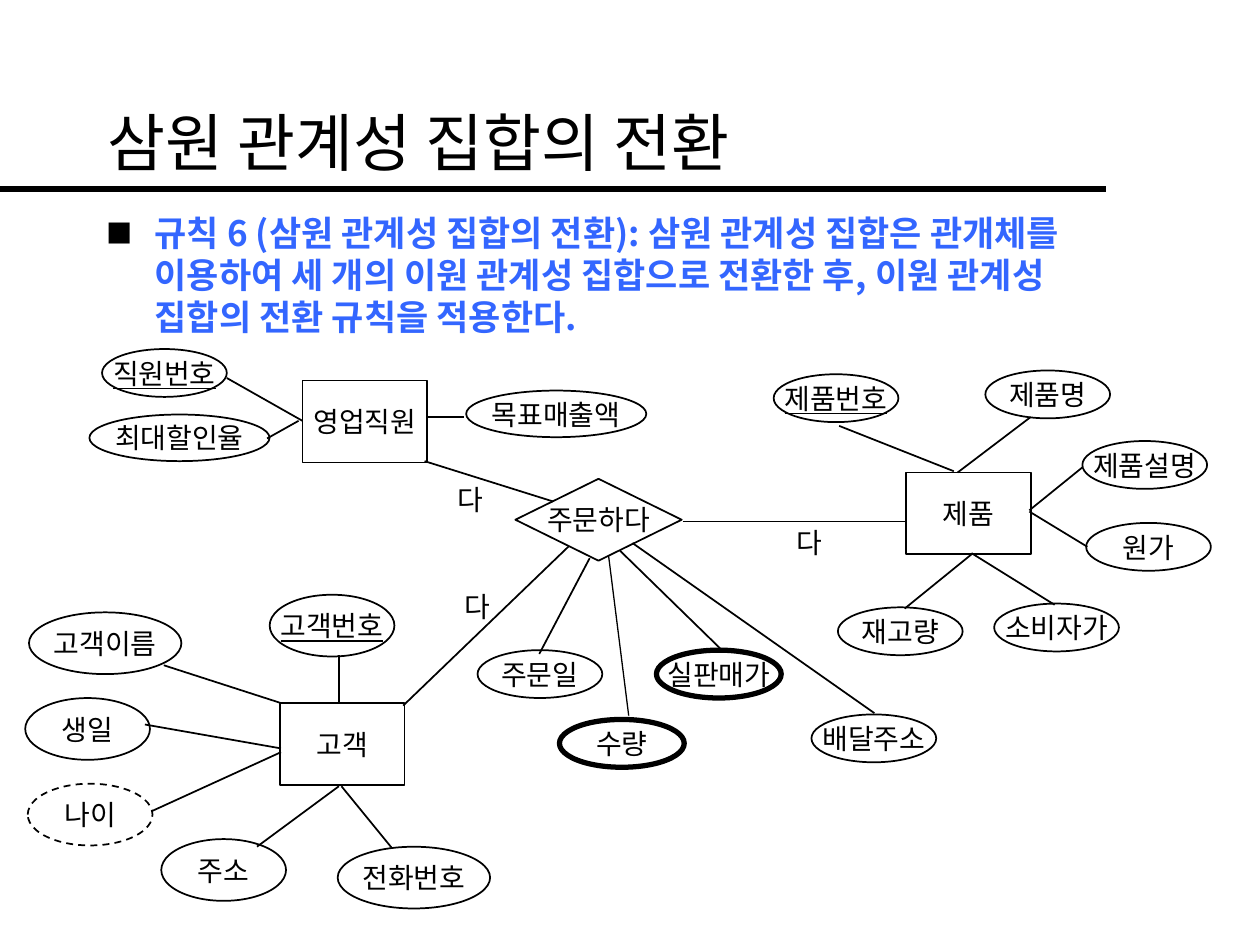
from lxml.etree import SubElement as Sub
from pptx import Presentation
from pptx.dml.color import RGBColor
from pptx.enum.dml import MSO_LINE as Dash
from pptx.enum.shapes import MSO_CONNECTOR as Conn, MSO_SHAPE as Kind
from pptx.enum.text import MSO_ANCHOR as Anchor, PP_ALIGN as Align
from pptx.oxml.ns import qn
from pptx.util import Inches, Pt

SANS, BODY, SERIF = "Noto Sans CJK KR", "Arial", "Times New Roman"
BLACK, WHITE, BLUE = "000000", "FFFFFF", "3366FF"

TITLE = "삼원 관계성 집합의 전환"
RULE = ("규칙 6 (삼원 관계성 집합의 전환): 삼원 관계성 집합은 관개체를 이용하여 "
        "세 개의 이원 관계성 집합으로 전환한 후, 이원 관계성 집합의 전환 규칙을 적용한다.")

STYLES = {
    "entity": (Kind.RECTANGLE, 0.99, 0.65),
    "relation": (Kind.DIAMOND, 1.32, 0.65),
    "small": (Kind.OVAL, 0.99, 0.38),
    "tall": (Kind.OVAL, 0.99, 0.49),
    "wide": (Kind.OVAL, 1.21, 0.49),
    "long": (Kind.OVAL, 1.43, 0.37),
}
NODES = {
    "relation": [("주문하다", 4.09, 3.8)],
    "entity": [("영업직원", 2.4, 3.02), ("제품", 7.19, 3.75), ("고객", 2.22, 5.58)],
    "small": [
        ("직원번호", 0.81, 2.77), ("제품번호", 6.14, 2.97), ("제품명", 7.82, 2.94),
        ("제품설명", 8.59, 3.5), ("원가", 8.62, 4.15), ("소비자가", 7.89, 4.79),
        ("재고량", 6.65, 4.82), ("주문일", 3.79, 5.16), ("실판매가", 5.21, 5.16),
        ("수량", 4.44, 5.71), ("배달주소", 6.44, 5.67),
    ],
    "tall": [("고객번호", 2.14, 4.72), ("생일", 0.2, 5.54), ("나이", 0.22, 6.22),
             ("주소", 1.28, 6.66)],
    "wide": [("고객이름", 0.23, 4.86), ("전화번호", 2.68, 6.72)],
    "long": [("최대할인율", 0.71, 3.29), ("목표매출액", 3.7, 3.1)],
}
KEYS = {"직원번호", "제품번호", "고객번호"}
BOLD = {"실판매가", "수량"}
DERIVED = {"나이"}

MANY = "다"
ROLES = [(3.53, 3.78), (6.22, 4.12), (3.59, 4.63)]

LINKS = [
    (2.4, 3.34, 1.8, 3), (2.12, 3.48, 2.37, 3.34), (3.68, 3.31, 3.39, 3.31),
    (3.37, 3.66, 4.39, 3.98), (5.42, 4.14, 7.19, 4.14), (4.51, 4.34, 3.2, 5.6),
    (4.68, 4.43, 4.28, 5.19), (4.92, 4.37, 5.72, 5.15), (5.02, 4.31, 6.94, 5.66),
    (6.66, 3.38, 7.57, 3.74), (7.6, 3.75, 8.18, 3.31), (8.17, 4.05, 8.59, 3.71),
    (8.17, 4.06, 8.63, 4.34), (7.71, 4.39, 8.37, 4.8), (7.71, 4.4, 7.18, 4.83),
    (2.69, 5.2, 2.69, 5.58), (1.3, 5.28, 2.23, 5.58), (1.15, 5.75, 2.23, 5.94),
    (1.2, 6.44, 2.23, 5.97), (2.04, 6.72, 2.69, 6.24), (2.71, 6.24, 3.11, 6.73),
]
THIN = (4.99, 5.68, 4.83, 4.41)


def paint(hue):
    return RGBColor.from_string(hue)


def write(shape, text, size, face, hue=BLACK, align=Align.LEFT, bold=False):
    frame = shape.text_frame
    frame.text = text
    para = frame.paragraphs[0]
    para.alignment = align
    run = para.runs[0]
    font = run.font
    font.size, font.name, font.bold = Pt(size), face, bold
    font.color.rgb = paint(hue)
    if face == SANS:
        Sub(font._element, qn("a:ea"), typeface=face)
    return para


def link(slide, ends, width):
    line = slide.shapes.add_connector(Conn.STRAIGHT, *map(Inches, ends))
    line.line.color.rgb = paint(BLACK)
    line.line.width = Pt(width)
    Sub(line._element.spPr, qn("a:effectLst"))


def node(slide, style, text, left, top):
    kind, wide, high = STYLES[style]
    shape = slide.shapes.add_shape(kind, *map(Inches, (left, top, wide, high)))
    shape.shadow.inherit = False
    if style == "long":
        shape.fill.background()
    else:
        shape.fill.solid()
        shape.fill.fore_color.rgb = paint(WHITE)
    shape.line.color.rgb = paint(BLACK)
    shape.line.width = Pt(3 if text in BOLD else 1)
    if text in DERIVED:
        shape.line.dash_style = Dash.DASH
    face = SERIF if style == "long" else BODY
    para = write(shape, text, 16, face, align=Align.CENTER)
    para.runs[0].font.underline = text in KEYS
    frame = shape.text_frame
    frame.word_wrap = False
    frame.vertical_anchor = Anchor.MIDDLE
    frame.margin_left = frame.margin_right = 0
    frame.margin_top = frame.margin_bottom = 0


def head(slide):
    title = slide.shapes.title
    title.left, title.top = Inches(0.75), Inches(0.5)
    title.width, title.height = Inches(8.5), Inches(1.25)
    write(title, TITLE, 36, SANS)
    title.text_frame.vertical_anchor = Anchor.MIDDLE
    link(slide, (0, 1.5, 8.78, 1.5), 4)


def rule(slide):
    box = slide.shapes.add_textbox(*map(Inches, (0.75, 1.63, 8.56, 1.19)))
    box.text_frame.word_wrap = True
    box.text_frame.margin_right = Inches(0.4)
    para = write(box, RULE, 20, SANS, BLUE, bold=True)
    para.line_spacing = Pt(24)
    props = para._p.get_or_add_pPr()
    props.set("marL", str(Inches(0.38)))
    props.set("indent", str(-Inches(0.38)))
    Sub(Sub(props, qn("a:buClr")), qn("a:srgbClr"), val=BLACK)
    Sub(props, qn("a:buSzPct"), val="75000")
    Sub(props, qn("a:buFont"), typeface=SANS)
    Sub(props, qn("a:buChar"), char="■")


def main():
    deck = Presentation()
    deck.slide_width, deck.slide_height = Inches(10), Inches(7.5)
    slide = deck.slides.add_slide(deck.slide_layouts[5])
    head(slide)
    rule(slide)
    for style, items in NODES.items():
        for item in items:
            node(slide, style, *item)
    for ends in LINKS:
        link(slide, ends, 1)
    link(slide, THIN, 0.75)
    for left, top in ROLES:
        box = slide.shapes.add_textbox(*map(Inches, (left, top, 0.41, 0.37)))
        box.text_frame.word_wrap = False
        write(box, MANY, 16, BODY)
    deck.save("out.pptx")


if __name__ == "__main__":
    main()
